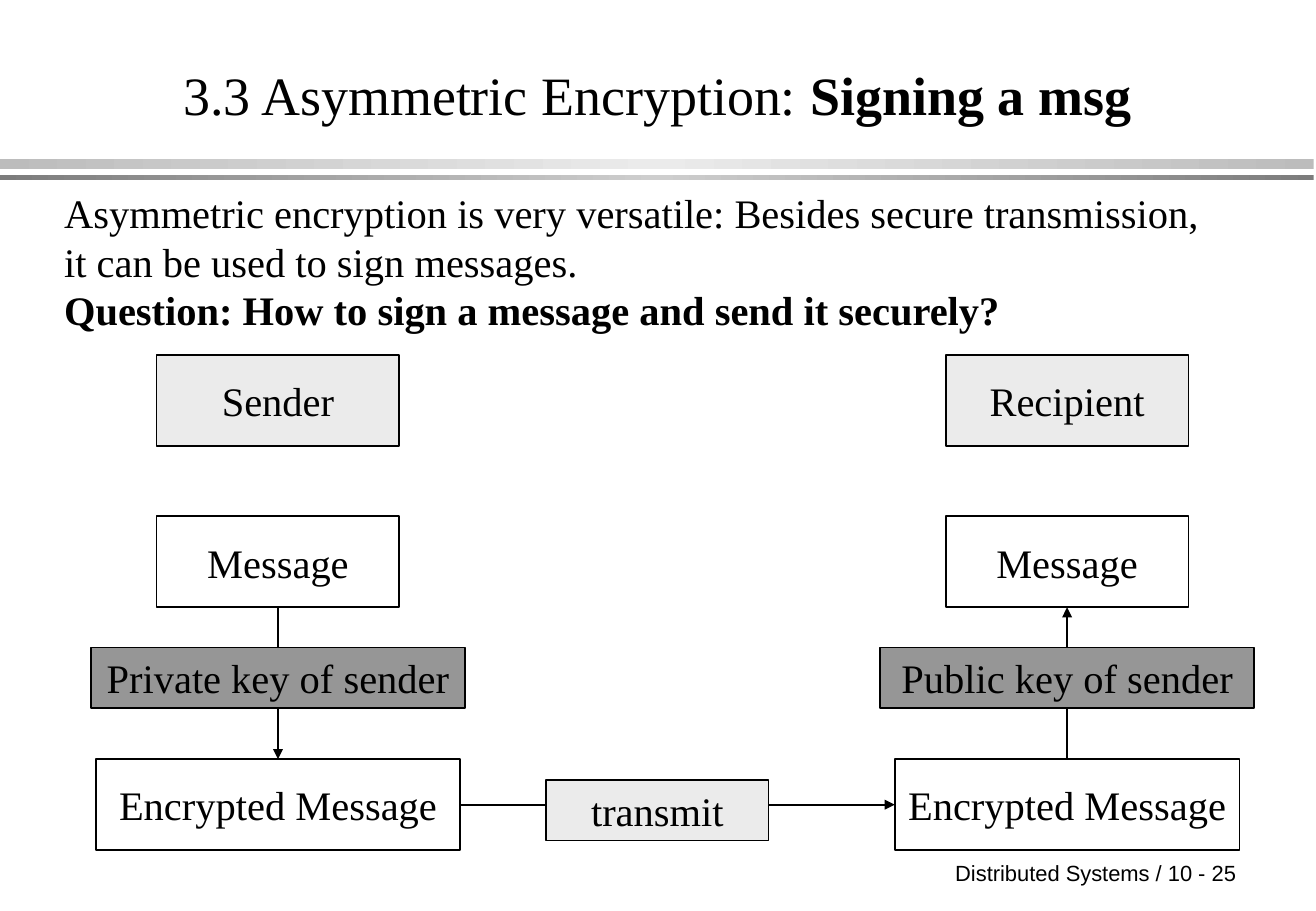
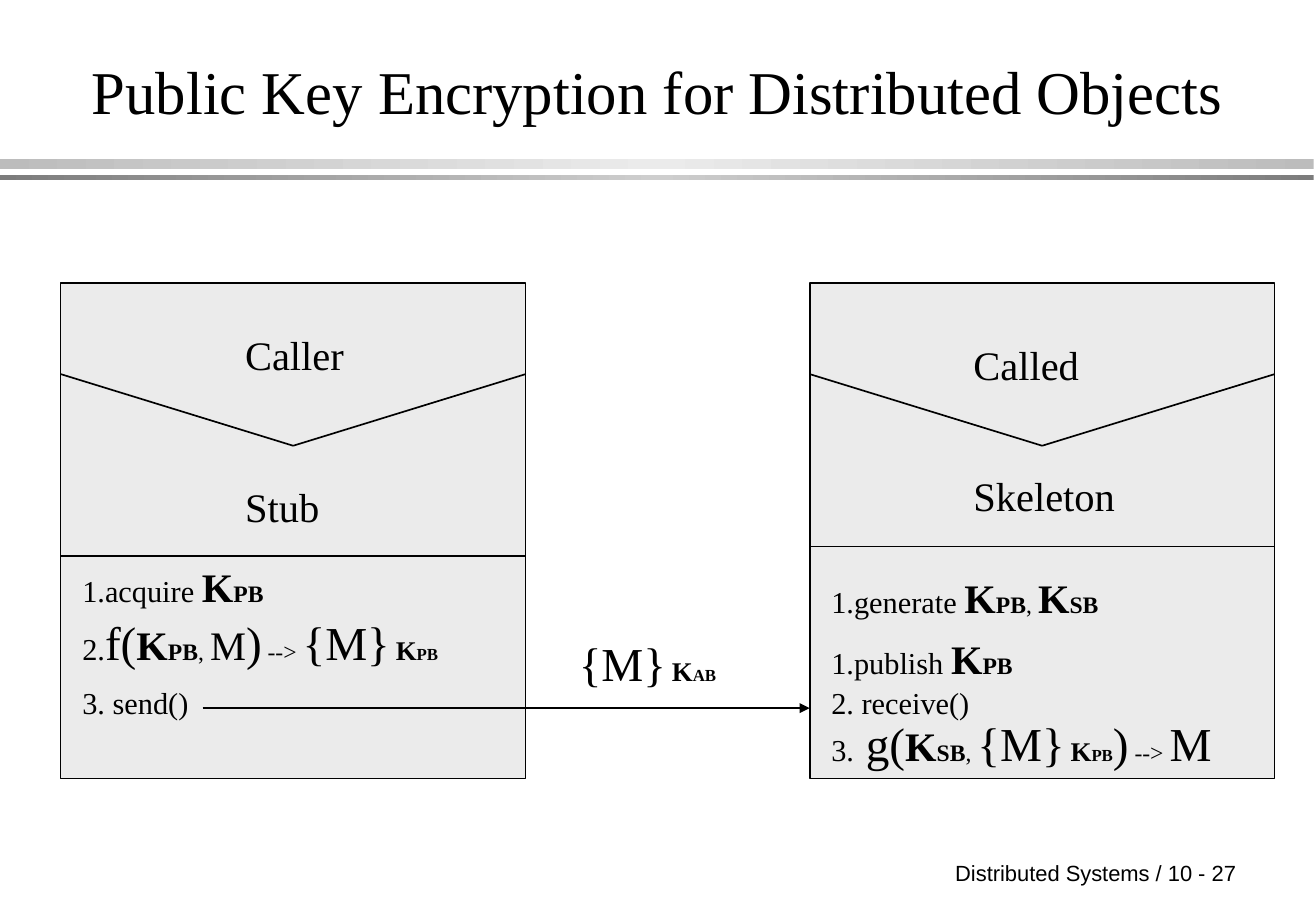
from copy import deepcopy

from pptx import Presentation
from pptx.dml.color import RGBColor
from pptx.enum.shapes import MSO_CONNECTOR as LineKind, MSO_SHAPE as Preset
from pptx.enum.text import MSO_ANCHOR as Anchor, MSO_AUTO_SIZE as AutoSize, PP_ALIGN as Align
from pptx.oxml.ns import qn
from pptx.oxml.xmlchemy import OxmlElement
from pptx.util import Inches, Pt

BLACK = RGBColor(0x00, 0x00, 0x00)
WHITE = RGBColor(0xFF, 0xFF, 0xFF)
PALE = RGBColor(0xEB, 0xEB, 0xEB)
GRAY = RGBColor(0x96, 0x96, 0x96)
UPPER_BAND = RGBColor(0xBC, 0xBC, 0xBC), PALE
LOWER_BAND = RGBColor(0x7C, 0x7C, 0x7C), RGBColor(0xCE, 0xCE, 0xCE)
SERIF = "Times New Roman"
SANS = "Arial"
SLIDE_WIDTH, SLIDE_HEIGHT = 10.84, 7.5


def write_runs(paragraph, runs, font=SERIF):
    for text, size, bold in runs:
        run = paragraph.add_run()
        run.text = text
        run.font.name = font
        run.font.size = Pt(size)
        run.font.bold = bold
        run.font.color.rgb = BLACK


def add_text(slide, left, top, width, height, paragraphs, font=SERIF):
    frame = slide.shapes.add_textbox(
        Inches(left), Inches(top), Inches(width), Inches(height)).text_frame
    frame.word_wrap = True
    for index, runs in enumerate(paragraphs):
        paragraph = frame.add_paragraph() if index else frame.paragraphs[0]
        write_runs(paragraph, runs, font)


def add_rect(slide, left, top, width, height, color=None):
    rect = slide.shapes.add_shape(
        Preset.RECTANGLE, Inches(left), Inches(top), Inches(width), Inches(height))
    rect.shadow.inherit = False
    if color is not None:
        rect.fill.solid()
        rect.fill.fore_color.rgb = color
        rect.line.color.rgb = BLACK
        rect.line.width = Pt(1)
    return rect


def add_node(slide, left, top, width, height, label, color):
    node = add_rect(slide, left, top, width, height, color)
    frame = node.text_frame
    frame.word_wrap = False
    frame.vertical_anchor = Anchor.MIDDLE
    frame.paragraphs[0].alignment = Align.CENTER
    write_runs(frame.paragraphs[0], [(label, 24, False)])
    return node


def add_line(slide, x1=0, y1=0, x2=0, y2=0, arrow=False):
    line = slide.shapes.add_connector(
        LineKind.STRAIGHT, Inches(x1), Inches(y1), Inches(x2), Inches(y2))
    line.line.color.rgb = BLACK
    line.line.width = Pt(1)
    if arrow:
        head = OxmlElement("a:tailEnd")
        head.set("type", "triangle")
        line.line._get_or_add_ln().append(head)
    line._element.spPr.append(OxmlElement("a:effectLst"))
    return line


def join(slide, source, source_side, target, target_side):
    arrow = add_line(slide, arrow=True)
    arrow.begin_connect(source, source_side)
    arrow.end_connect(target, target_side)


def add_band(slide, top, height, edge, center):
    band = add_rect(slide, 0, top, 10.82, height)
    band.line.fill.background()
    band.fill.gradient()
    band.fill.gradient_angle = 0
    first = next(band._element.iter(qn("a:gs")))
    first.addnext(deepcopy(first))
    for stop, position, color in zip(
            band.fill.gradient_stops, (0, 0.5, 1), (edge, center, edge)):
        stop.position = position
        stop.color.rgb = color


def add_base_slide(deck, number, title_runs):
    slide = deck.slides.add_slide(deck.slide_layouts[5])
    add_band(slide, 1.31, 0.08, *UPPER_BAND)
    add_band(slide, 1.44, 0.04, *LOWER_BAND)
    add_text(slide, 7.77, 7.03, 3.07, 0.31,
             [[(f"Distributed Systems / 10 - {number}", 13, False)]], SANS)
    title = slide.shapes.title
    title.left, title.top = Inches(0.33), Inches(0.42)
    title.width, title.height = Inches(10.17), Inches(0.67)
    frame = title.text_frame
    frame.auto_size = AutoSize.NONE
    frame.vertical_anchor = Anchor.BOTTOM
    frame.paragraphs[0].alignment = Align.CENTER
    write_runs(frame.paragraphs[0], title_runs)
    return slide


def add_party(slide, center, top, role, key, encrypted_width, sends):
    def node(offset, width, height, label, color):
        return add_node(slide, center - width / 2, top + offset, width, height, label, color)

    node(0, 2, 0.75, role, PALE)
    message = node(1.33, 2, 0.75, "Message", WHITE)
    encrypted = node(3.33, encrypted_width, 0.75, "Encrypted Message", WHITE)
    if sends:
        join(slide, message, 2, encrypted, 0)
    else:
        join(slide, encrypted, 0, message, 2)
    node(2.41, 3.08, 0.5, key, GRAY)
    return encrypted


def build_signing_slide(deck):
    slide = add_base_slide(deck, 25, [
        ("3.3 Asymmetric Encryption: ", 32, False), ("Signing a msg", 32, True)])
    sent = add_party(slide, 2.29, 2.92, "Sender", "Private key of sender", 3, True)
    received = add_party(slide, 8.79, 2.92, "Recipient", "Public key of sender", 2.84, False)
    join(slide, sent, 3, received, 1)
    add_node(slide, 4.5, 6.42, 1.83, 0.5, "transmit", PALE)
    add_text(slide, 0.43, 1.5, 9.8, 1.3, [
        [("Asymmetric encryption is very versatile: Besides secure transmission,", 24, False)],
        [("it can be used to sign messages.", 24, False)],
        [("Question: How to sign a message and send it securely?", 24, True)]])


def key_runs(owner, size=24, owner_size=14):
    return [("K", size, True), (owner, owner_size, True)]


def sealed_runs(owner):
    return [("{M}", 28, False), (" ", 14, False), *key_runs(owner, 16, 10)]


def add_object(slide, left, top, labels, divider, steps):
    width, height, notch_top, notch_tip = 3.83, 4.08, 0.75, 1.34
    add_rect(slide, left, top, width, height, PALE)
    for edge in (left, left + width):
        add_line(slide, edge, top + notch_top, left + width / 2, top + notch_tip)
    add_line(slide, left, top + divider, left + width, top + divider)
    for label, x, y in labels:
        add_text(slide, left + x, top + y, 1.92, 0.5, [[(label, 24, False)]])
    for y, runs in steps:
        add_text(slide, left + 0.08, top + y, 3.6, 0.5, [runs])


def build_objects_slide(deck):
    slide = add_base_slide(
        deck, 27, [("Public Key Encryption for Distributed Objects", 36, False)])
    comma, yields = (", ", 14, False), (" --> ", 14, False)
    caller_steps = [
        (2.25, [("1.acquire ", 18, False), *key_runs("PB")]),
        (2.67, [("2.", 18, False), ("f(", 28, False), *key_runs("PB"), comma,
                ("M", 24, False), (")", 28, False), yields, *sealed_runs("PB")]),
        (3.25, [("3. send()", 18, False)])]
    called_steps = [
        (2.34, [("1.generate ", 18, False), *key_runs("PB"), comma, *key_runs("SB")]),
        (2.84, [("1.publish ", 18, False), *key_runs("PB")]),
        (3.25, [("2. receive()", 18, False)]),
        (3.5, [("3.", 18, False), (" g(", 28, False), *key_runs("SB"), comma,
               *sealed_runs("PB"), (")", 28, False), yields, ("M", 28, False)])]
    add_object(slide, 0.5, 2.33, [("Caller", 1.42, 0.34), ("Stub", 1.42, 1.59)],
               2.25, caller_steps)
    add_object(slide, 6.67, 2.33, [("Called", 1.25, 0.42), ("Skeleton", 1.25, 1.5)],
               2.17, called_steps)
    add_line(slide, 1.67, 5.83, 6.67, 5.83, arrow=True)
    add_text(slide, 4.67, 5.17, 1.5, 0.57, [sealed_runs("AB")])


def main():
    deck = Presentation()
    deck.slide_width, deck.slide_height = Inches(SLIDE_WIDTH), Inches(SLIDE_HEIGHT)
    build_signing_slide(deck)
    build_objects_slide(deck)
    deck.save("out.pptx")


if __name__ == "__main__":
    main()
